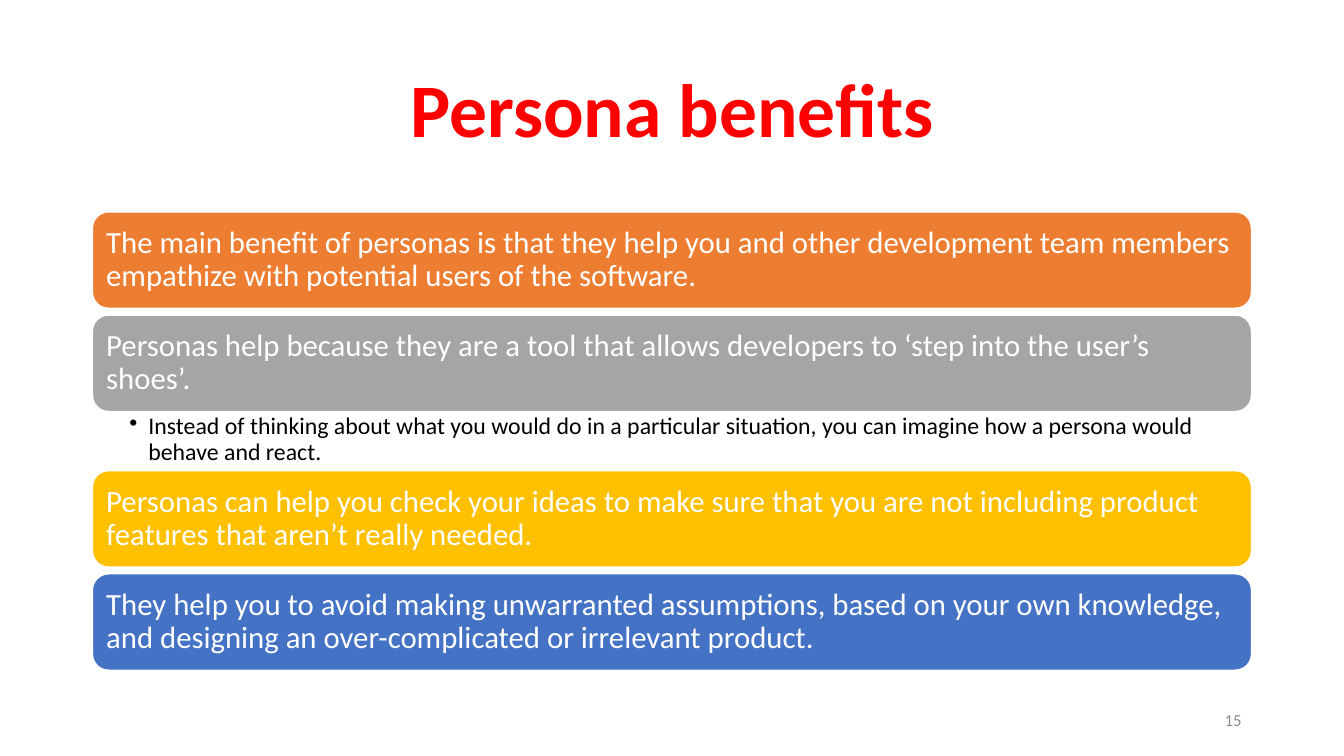
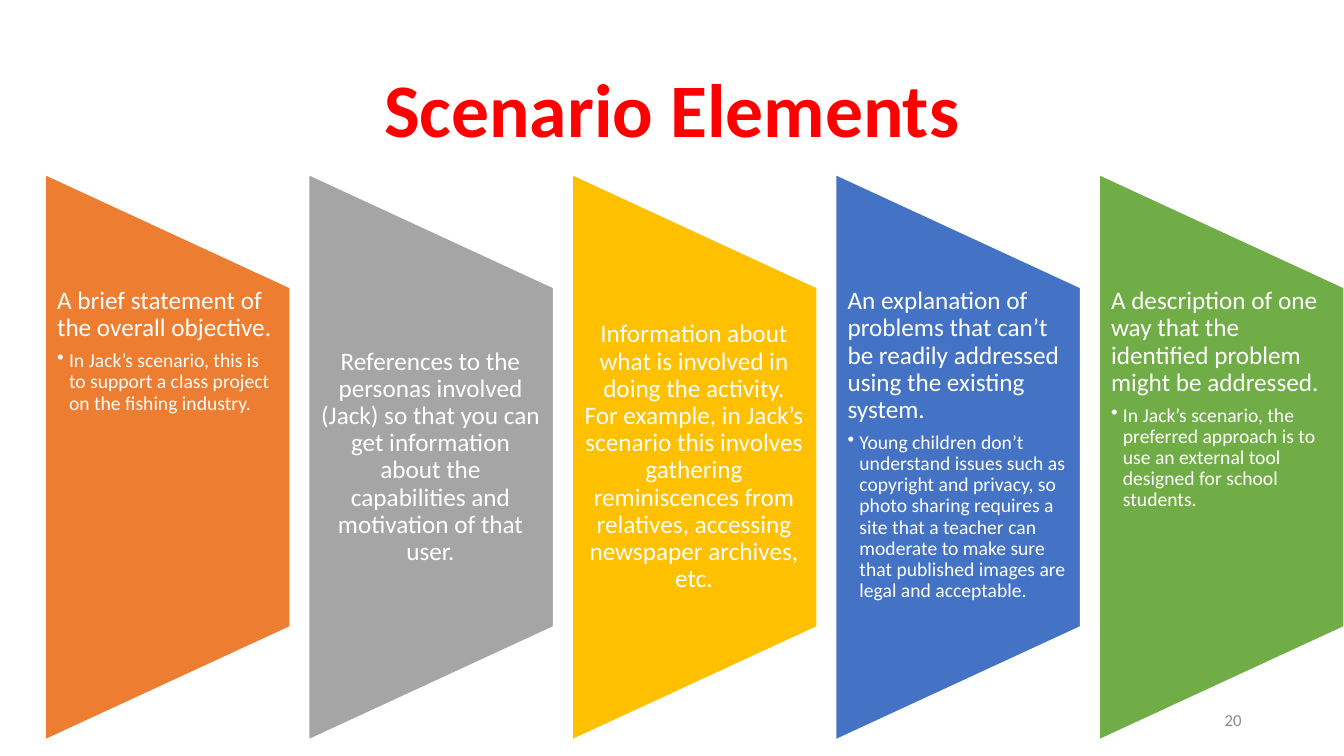
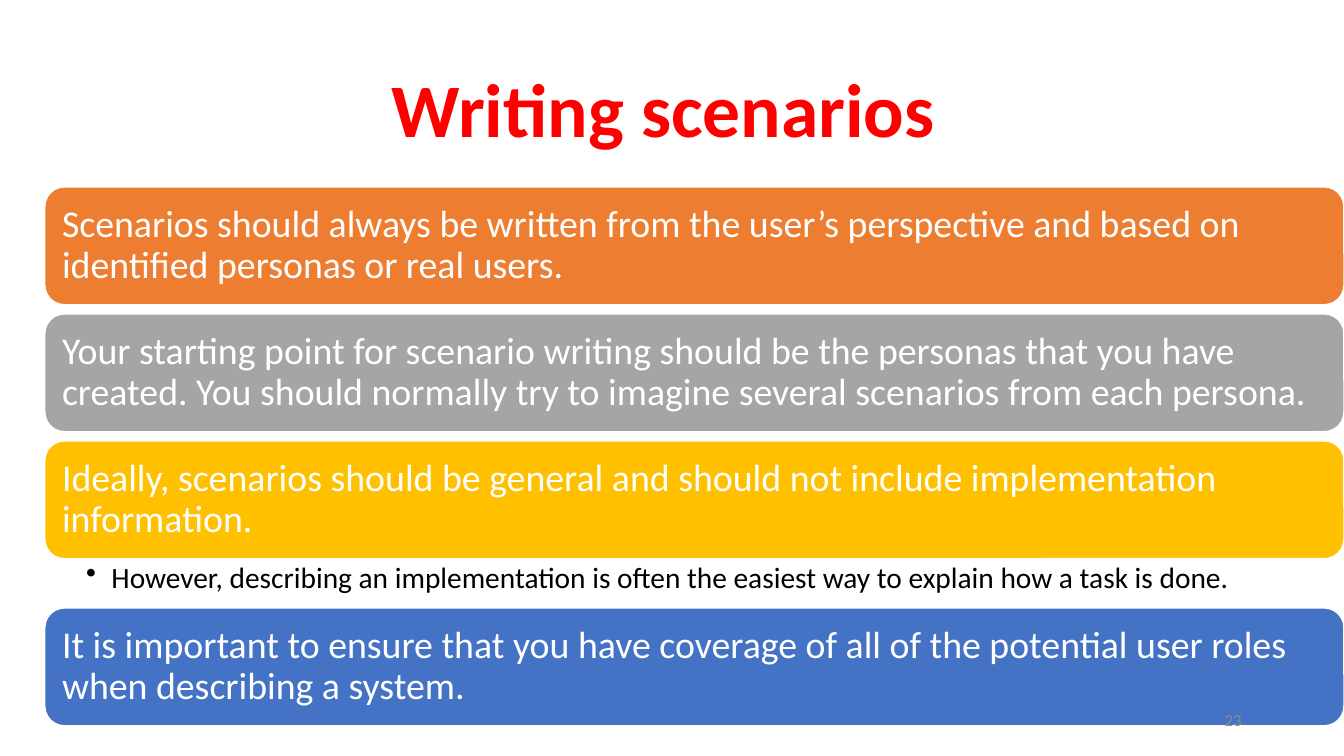
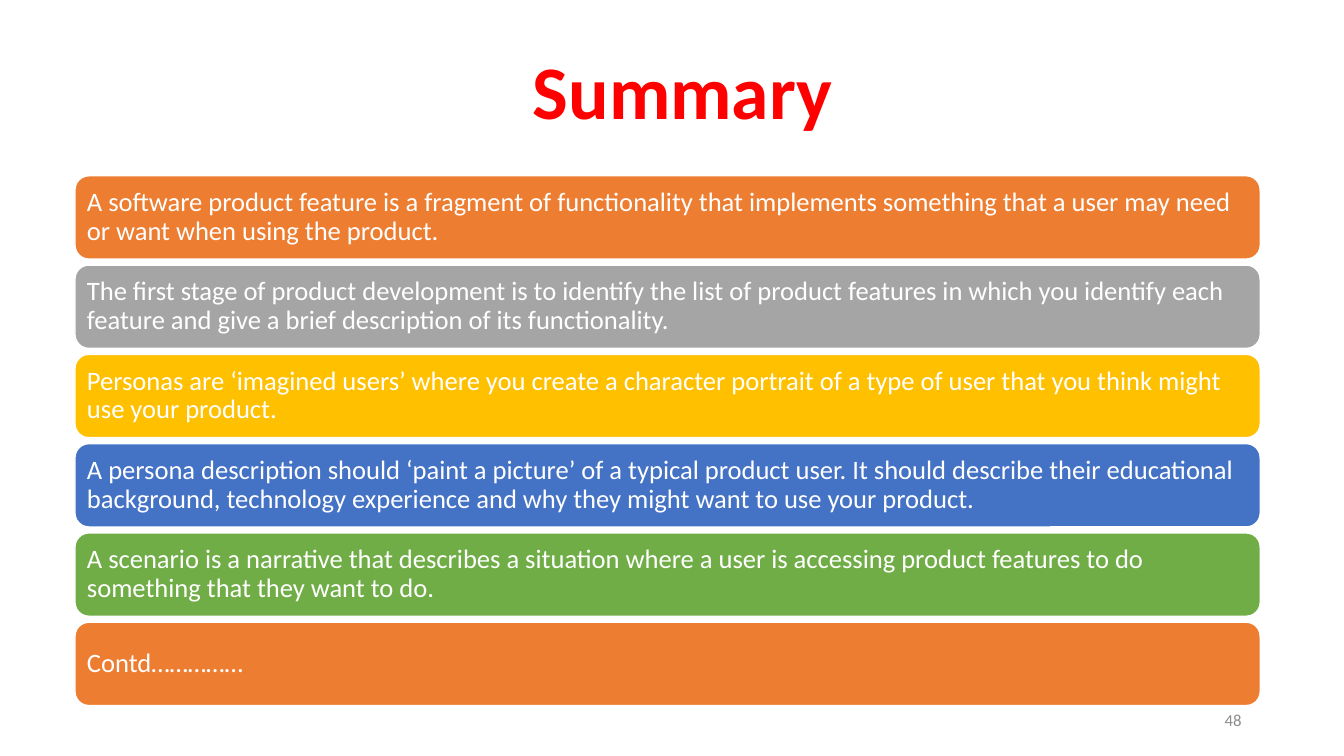
"""Build four slides on personas and scenarios with coloured bands and panels."""
from dataclasses import dataclass
from itertools import cycle
from typing import Any

from lxml import etree
from pptx import Presentation
from pptx.dml.color import RGBColor
from pptx.enum.shapes import MSO_SHAPE
from pptx.enum.text import MSO_ANCHOR, PP_ALIGN
from pptx.oxml.ns import qn
from pptx.util import Cm, Pt

ROUNDED = MSO_SHAPE.ROUNDED_RECTANGLE
TRAPEZOID = MSO_SHAPE.FLOWCHART_MANUAL_OPERATION
TOP, MIDDLE = MSO_ANCHOR.TOP, MSO_ANCHOR.MIDDLE
LEFT, CENTER, RIGHT = PP_ALIGN.LEFT, PP_ALIGN.CENTER, PP_ALIGN.RIGHT
BLANK_LAYOUT = 6


@dataclass(frozen=True)
class Theme:
    font: str = "Calibri"
    title: RGBColor = RGBColor(0xFF, 0x00, 0x00)
    light: RGBColor = RGBColor(0xFF, 0xFF, 0xFF)
    dark: RGBColor = RGBColor(0x00, 0x00, 0x00)
    muted: RGBColor = RGBColor(0x8C, 0x8C, 0x8C)
    accents: tuple[RGBColor, ...] = (
        RGBColor(0xED, 0x7D, 0x31),
        RGBColor(0xA5, 0xA5, 0xA5),
        RGBColor(0xFF, 0xC0, 0x00),
        RGBColor(0x44, 0x72, 0xC4),
        RGBColor(0x70, 0xAD, 0x47),
    )
    title_size: int = 54
    number_size: int = 12
    panel_size: int = 18
    panel_detail_size: int = 14
    outline: int = 1
    line_spacing: float = 0.9


@dataclass(frozen=True)
class Area:
    left: float
    top: float
    width: float
    height: float

    def lengths(self) -> tuple[Cm, ...]:
        return tuple(Cm(value) for value in (self.left, self.top, self.width, self.height))


@dataclass(frozen=True)
class Margins:
    left: float = 0.25
    top: float = 0.13
    right: float = 0.25
    bottom: float = 0.13


@dataclass(frozen=True)
class Item:
    text: str
    detail: str = ""


@dataclass(frozen=True)
class BandStyle:
    left: float
    top: float
    width: float
    height: float
    gap: float
    inset: float
    size: int
    detail_height: float = 0
    detail_size: int = 0
    detail_indent: float = 0
    detail_margins: Margins = Margins()


THEME = Theme()
TITLE_AREA = Area(2.33, 1.01, 29.21, 3.68)
SUMMARY_TITLE_AREA = Area(2.6, 1.27, 29.21, 2.24)
NUMBER_AREA = Area(23.92, 17.66, 7.62, 1.01)
PANEL_LEFT, PANEL_PITCH = 1.14, 6.64
PANEL_WIDTH, PANEL_HEIGHT, PANEL_MIDDLE = 6.17, 14.25, 11.52
PANEL_TEXT_HEIGHT = 8.53
PANEL_MARGINS = Margins(0.3, 0, 0.33, 0)
PANEL_INDENT = 0.3

BENEFIT_STYLE = BandStyle(2.33, 5.34, 29.21, 2.43, 0.17, 0.23, 22,
                          1.49, 17, 0.48, Margins(0.93, 0.07, 0.42, 0.07))
WRITING_STYLE = BandStyle(1.13, 4.71, 32.74, 2.97, 0.23, 0.29, 27,
                          1.24, 21, 0.64, Margins(1.04, 0.1, 0.53, 0.1))
SUMMARY_STYLE = BandStyle(1.89, 4.43, 29.87, 2.1, 0.15, 0.2, 19)

BENEFITS = (
    Item("The main benefit of personas is that they help you and other development team members empathize with potential users of the software."),
    Item("Personas help because they are a tool that allows developers to ‘step into the user’s shoes’.",
         "Instead of thinking about what you would do in a particular situation, you can imagine how a persona would behave and react."),
    Item("Personas can help you check your ideas to make sure that you are not including product features that aren’t really needed."),
    Item("They help you to avoid making unwarranted assumptions, based on your own knowledge, and designing an over-complicated or irrelevant product."),
)
ELEMENTS = (
    Item("A brief statement of the overall objective.",
         "In Jack’s scenario, this is to support a class project on the fishing industry."),
    Item("References to the personas involved (Jack) so that you can get information about the capabilities and motivation of that user."),
    Item("Information about what is involved in doing the activity. For example, in Jack’s scenario this involves gathering reminiscences from relatives, accessing newspaper archives, etc."),
    Item("An explanation of problems that can’t be readily addressed using the existing system.",
         "Young children don’t understand issues such as copyright and privacy, so photo sharing requires a site that a teacher can moderate to make sure that published images are legal and acceptable."),
    Item("A description of one way that the identified problem might be addressed.",
         "In Jack’s scenario, the preferred approach is to use an external tool designed for school students."),
)
WRITING = (
    Item("Scenarios should always be written from the user’s perspective and based on identified personas or real users."),
    Item("Your starting point for scenario writing should be the personas that you have created. You should normally try to imagine several scenarios from each persona."),
    Item("Ideally, scenarios should be general and should not include implementation information.",
         "However, describing an implementation is often the easiest way to explain how a task is done."),
    Item("It is important to ensure that you have coverage of all of the potential user roles when describing a system."),
)
SUMMARY = (
    Item("A software product feature is a fragment of functionality that implements something that a user may need or want when using the product."),
    Item("The first stage of product development is to identify the list of product features in which you identify each feature and give a brief description of its functionality."),
    Item("Personas are ‘imagined users’ where you create a character portrait of a type of user that you think might use your product."),
    Item("A persona description should ‘paint a picture’ of a typical product user. It should describe their educational background, technology experience and why they might want to use your product."),
    Item("A scenario is a narrative that describes a situation where a user is accessing product features to do something that they want to do."),
    Item("Contd……………"),
)


def apply_format(target: Any, values: dict[str, Any]) -> None:
    for name, value in values.items():
        setattr(target, name, value)


def format_frame(frame: Any, margins: Margins, anchor: Any) -> None:
    apply_format(frame, {
        "word_wrap": True,
        "vertical_anchor": anchor,
        "margin_left": Cm(margins.left),
        "margin_top": Cm(margins.top),
        "margin_right": Cm(margins.right),
        "margin_bottom": Cm(margins.bottom),
    })


def write(para: Any, text: str, size: int, color: RGBColor, align: Any = LEFT,
          bold: bool = False, indent: float = 0) -> None:
    if indent:
        properties = para._p.get_or_add_pPr()
        properties.set("marL", str(Cm(indent)))
        properties.set("indent", str(-Cm(indent)))
        etree.SubElement(properties, qn("a:buChar")).set("char", "•")
    apply_format(para, {"alignment": align, "line_spacing": THEME.line_spacing})
    span = para.add_run()
    span.text = text
    apply_format(span.font, {"name": THEME.font, "size": Pt(size), "bold": bold})
    span.font.color.rgb = color


def add_text_box(page: Any, area: Area, margins: Margins = Margins(), anchor: Any = MIDDLE) -> Any:
    frame = page.shapes.add_textbox(*area.lengths()).text_frame
    format_frame(frame, margins, anchor)
    return frame


def add_filled_shape(page: Any, kind: Any, area: Area, fill: RGBColor) -> Any:
    shape = page.shapes.add_shape(kind, *area.lengths())
    shape.shadow.inherit = False
    shape.fill.solid()
    shape.fill.fore_color.rgb = fill
    shape.line.color.rgb = THEME.light
    shape.line.width = Pt(THEME.outline)
    return shape


def add_page(deck: Any, title: str, area: Area = TITLE_AREA) -> Any:
    page = deck.slides.add_slide(deck.slide_layouts[BLANK_LAYOUT])
    write(add_text_box(page, area).paragraphs[0], title,
          THEME.title_size, THEME.title, CENTER, bold=True)
    return page


def add_number(page: Any, number: int) -> None:
    write(add_text_box(page, NUMBER_AREA).paragraphs[0], str(number),
          THEME.number_size, THEME.muted, RIGHT)


def add_bands(page: Any, items: tuple[Item, ...], style: BandStyle) -> None:
    top = style.top
    for item, color in zip(items, cycle(THEME.accents)):
        area = Area(style.left, top, style.width, style.height)
        frame = add_filled_shape(page, ROUNDED, area, color).text_frame
        format_frame(frame, Margins(*[style.inset] * 4), MIDDLE)
        write(frame.paragraphs[0], item.text, style.size, THEME.light)
        top += style.height
        if item.detail:
            area = Area(style.left, top, style.width, style.detail_height)
            frame = add_text_box(page, area, style.detail_margins, TOP)
            write(frame.paragraphs[0], item.detail, style.detail_size, THEME.dark,
                  indent=style.detail_indent)
            top += style.detail_height
        else:
            top += style.gap


def add_panels(page: Any, items: tuple[Item, ...]) -> None:
    for index, (item, color) in enumerate(zip(items, cycle(THEME.accents))):
        left = PANEL_LEFT + index * PANEL_PITCH
        unrotated = Area(left + (PANEL_WIDTH - PANEL_HEIGHT) / 2,
                         PANEL_MIDDLE - PANEL_WIDTH / 2, PANEL_HEIGHT, PANEL_WIDTH)
        add_filled_shape(page, TRAPEZOID, unrotated, color).rotation = 270
        text_area = Area(left, PANEL_MIDDLE - PANEL_TEXT_HEIGHT / 2,
                         PANEL_WIDTH, PANEL_TEXT_HEIGHT)
        anchor, align = (TOP, LEFT) if item.detail else (MIDDLE, CENTER)
        frame = add_text_box(page, text_area, PANEL_MARGINS, anchor)
        heading = frame.paragraphs[0]
        write(heading, item.text, THEME.panel_size, THEME.light, align)
        if item.detail:
            heading.space_after = Pt(6)
            write(frame.add_paragraph(), item.detail, THEME.panel_detail_size,
                  THEME.light, indent=PANEL_INDENT)


def main() -> None:
    deck = Presentation()
    apply_format(deck, {"slide_width": Cm(33.87), "slide_height": Cm(19.05)})

    page = add_page(deck, "Persona benefits")
    add_bands(page, BENEFITS, BENEFIT_STYLE)
    add_number(page, 15)

    page = add_page(deck, "Scenario Elements")
    add_panels(page, ELEMENTS)
    add_number(page, 20)

    page = add_page(deck, "Writing scenarios ")
    add_bands(page, WRITING, WRITING_STYLE)
    add_number(page, 23)

    page = add_page(deck, "Summary", SUMMARY_TITLE_AREA)
    add_bands(page, SUMMARY, SUMMARY_STYLE)
    add_number(page, 48)

    deck.save("out.pptx")


if __name__ == "__main__":
    main()
